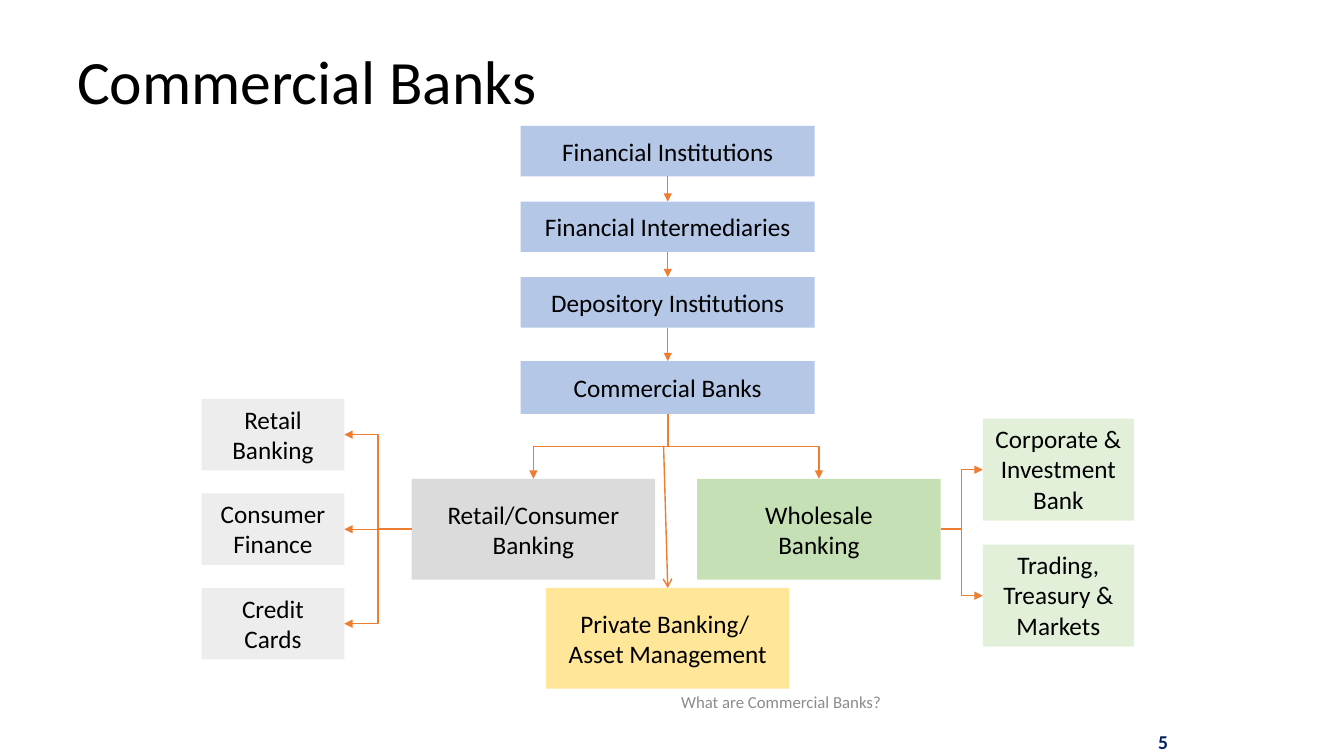
import pptx
import pptx.util
import pptx.dml.color
import pptx.enum.shapes
import pptx.enum.text
import pptx.oxml
import pptx.oxml.ns

Pt = pptx.util.Pt
RGBColor = pptx.dml.color.RGBColor
ALIGN = pptx.enum.text.PP_ALIGN
ANCHOR = pptx.enum.text.MSO_ANCHOR
CONNECTOR = pptx.enum.shapes.MSO_CONNECTOR
RECTANGLE = pptx.enum.shapes.MSO_SHAPE.RECTANGLE

BLACK = RGBColor(0x00, 0x00, 0x00)
GREY = RGBColor(0x8C, 0x8C, 0x8C)
NAVY = RGBColor(0x00, 0x20, 0x60)
ORANGE = RGBColor(0xED, 0x7D, 0x31)
BLUE_FILL = RGBColor(0xB4, 0xC7, 0xE7)
RETAIL_FILL = RGBColor(0xDB, 0xDB, 0xDB)
RETAIL_LIGHT = RGBColor(0xED, 0xED, 0xED)
WHOLESALE_FILL = RGBColor(0xC5, 0xE0, 0xB4)
WHOLESALE_LIGHT = RGBColor(0xE2, 0xF0, 0xD9)
PRIVATE_FILL = RGBColor(0xFF, 0xE6, 0x99)

TOP, LEFT, BOTTOM, RIGHT = range(4)


class Chart:
    """Draws the organisation chart on one slide, in points."""

    font = "Calibri"
    line_width = 1

    def __init__(self, slide):
        self.s = slide

    def add_lines(self, tf, lines, size, color, align, bold=False, spacing=None):
        for i, line in enumerate(lines):
            p = tf.paragraphs[0] if i == 0 else tf.add_paragraph()
            p.alignment = align
            if spacing:
                p.line_spacing = spacing
            r = p.add_run()
            r.text = line
            r.font.name = self.font
            r.font.size = Pt(size)
            r.font.bold = bold
            r.font.color.rgb = color

    def text(self, x, y, w, h, line, size, color, align, **style):
        tf = self.s.shapes.add_textbox(Pt(x), Pt(y), Pt(w), Pt(h)).text_frame
        tf.word_wrap = True
        tf.vertical_anchor = ANCHOR.MIDDLE
        self.add_lines(tf, [line], size, color, align, **style)

    def box(self, x, y, w, h, fill, *lines, wrap=False):
        sp = self.s.shapes.add_shape(RECTANGLE, Pt(x), Pt(y), Pt(w), Pt(h))
        sp.shadow.inherit = False
        sp.fill.solid()
        sp.fill.fore_color.rgb = fill
        sp.line.fill.background()
        tf = sp.text_frame
        tf.word_wrap = wrap
        tf.vertical_anchor = ANCHOR.TOP if wrap else ANCHOR.MIDDLE
        self.add_lines(tf, lines, 18, BLACK, ALIGN.CENTER)
        return sp

    def side(self, sp, site):
        """Middle of one side of a box."""
        x = {LEFT: 0, RIGHT: sp.width}.get(site, sp.width // 2)
        y = {TOP: 0, BOTTOM: sp.height}.get(site, sp.height // 2)
        return sp.left + x, sp.top + y

    def connector(self, kind, start, end, head="triangle"):
        cxn = self.s.shapes.add_connector(kind, *map(int, start + end))
        cxn.line.color.rgb = ORANGE
        cxn.line.width = Pt(self.line_width)
        ns = pptx.oxml.ns.nsdecls("a")
        ln = cxn.line._get_or_add_ln()
        ln.append(pptx.oxml.parse_xml(f'<a:tailEnd {ns} type="{head}"/>'))
        cxn._element.spPr.append(pptx.oxml.parse_xml(f"<a:effectLst {ns}/>"))
        return cxn

    def arrow(self, a, a_site, b, b_site):
        cxn = self.connector(CONNECTOR.STRAIGHT, self.side(a, a_site), self.side(b, b_site))
        cxn.begin_connect(a, a_site)
        cxn.end_connect(b, b_site)

    def elbow_across(self, a, a_site, b, b_site):
        self.connector(CONNECTOR.ELBOW, self.side(a, a_site), self.side(b, b_site))

    def elbow_down(self, a, b):
        """Elbow that leaves downwards: a sideways elbow turned a quarter."""
        (x1, y1), (x2, y2) = self.side(a, BOTTOM), self.side(b, TOP)
        cx, cy = (x1 + x2) / 2, (y1 + y2) / 2
        turn = 1 if x2 > x1 else -1
        dx, dy = turn * (y2 - y1) / 2, abs(x2 - x1) / 2
        cxn = self.connector(CONNECTOR.ELBOW, (cx + dx, cy - dy), (cx - dx, cy + dy))
        degrees = 270 if turn > 0 else 90
        cxn._element.spPr.find(pptx.oxml.ns.qn("a:xfrm")).set("rot", str(degrees * 60000))


def main():
    prs = pptx.Presentation()
    prs.slide_width, prs.slide_height = Pt(960), Pt(540)
    chart = Chart(prs.slides.add_slide(prs.slide_layouts[6]))

    # Title
    chart.text(48, 9.5, 792, 102, "Commercial Banks", 44, BLACK, ALIGN.LEFT, spacing=0.9)

    # Chain from institutions down to commercial banks
    levels = [
        ("Financial Institutions", 90, 36),
        ("Financial Intermediaries", 144, 36),
        ("Depository Institutions", 198, 36),
        ("Commercial Banks", 258, 37.7),
    ]
    chain = [chart.box(372, y, 210, h, BLUE_FILL, name) for name, y, h in levels]
    for upper, lower in zip(chain, chain[1:]):
        chart.arrow(upper, BOTTOM, lower, TOP)

    # Business lines
    retail = chart.box(294, 342, 174, 72, RETAIL_FILL, "Retail/Consumer", "Banking")
    wholesale = chart.box(498, 342, 174, 72, WHOLESALE_FILL, "Wholesale", "Banking")
    for branch in (retail, wholesale):
        chart.elbow_down(chain[-1], branch)

    # Retail units
    for i, name in enumerate(["Retail Banking", "Consumer Finance", "Credit Cards"]):
        unit = chart.box(144, 285 + 67.5 * i, 102, 51, RETAIL_LIGHT, name, wrap=True)
        link = chart.arrow if i == 1 else chart.elbow_across
        link(retail, LEFT, unit, RIGHT)

    # Wholesale units
    for i, name in enumerate(["Corporate & Investment Bank", "Trading, Treasury & Markets"]):
        unit = chart.box(702, 299 + 90 * i, 108, 73, WHOLESALE_LIGHT, name, wrap=True)
        chart.elbow_across(wholesale, RIGHT, unit, LEFT)

    # Footer and slide number
    chart.text(276.5, 484, 563, 34, "What are Commercial Banks?", 12, GREY, ALIGN.CENTER)
    chart.text(769, 518.5, 72.5, 23, "5", 14, NAVY, ALIGN.RIGHT, bold=True)

    # Private banking
    private = chart.box(390, 420, 174, 72, PRIVATE_FILL, "Private Banking/ ", "Asset Management")
    cxn = chart.connector(
        CONNECTOR.STRAIGHT, (Pt(474), Pt(318.5)), chart.side(private, TOP), head="arrow")
    cxn.end_connect(private, TOP)

    prs.save("out.pptx")


if __name__ == "__main__":
    main()
